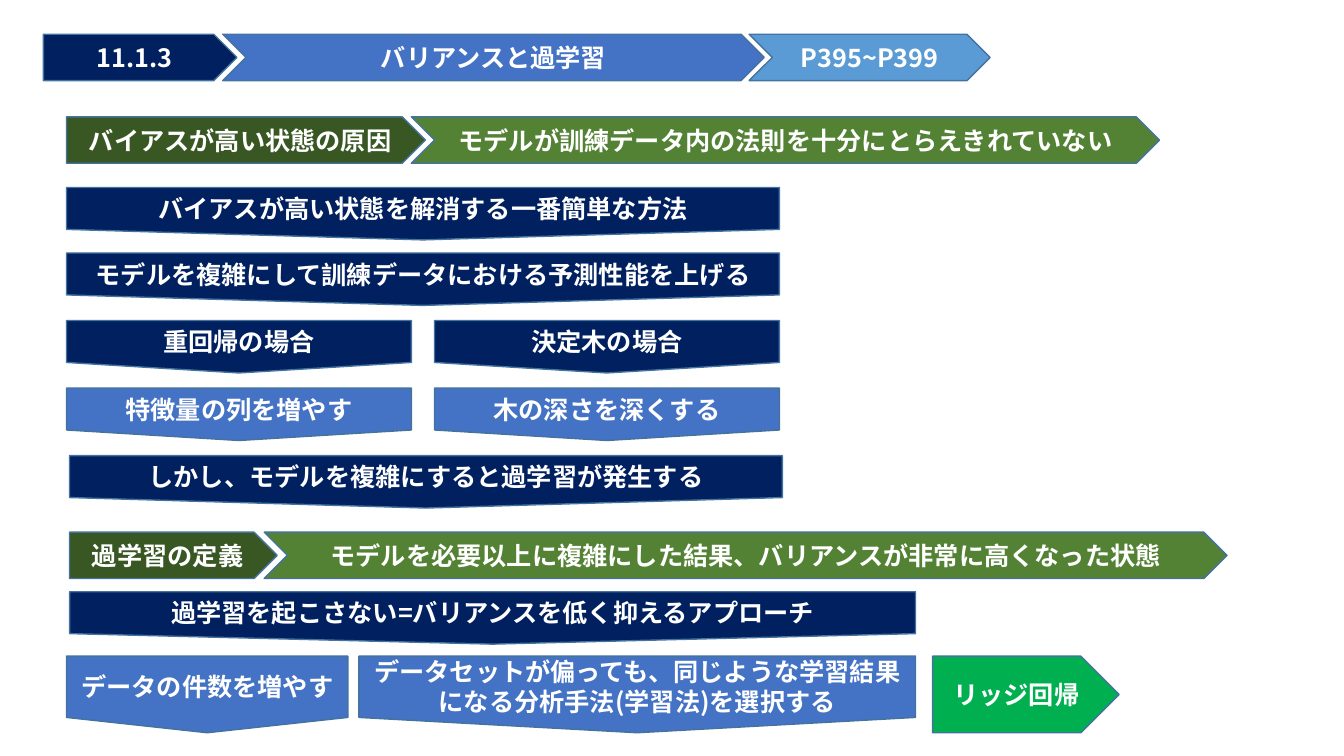
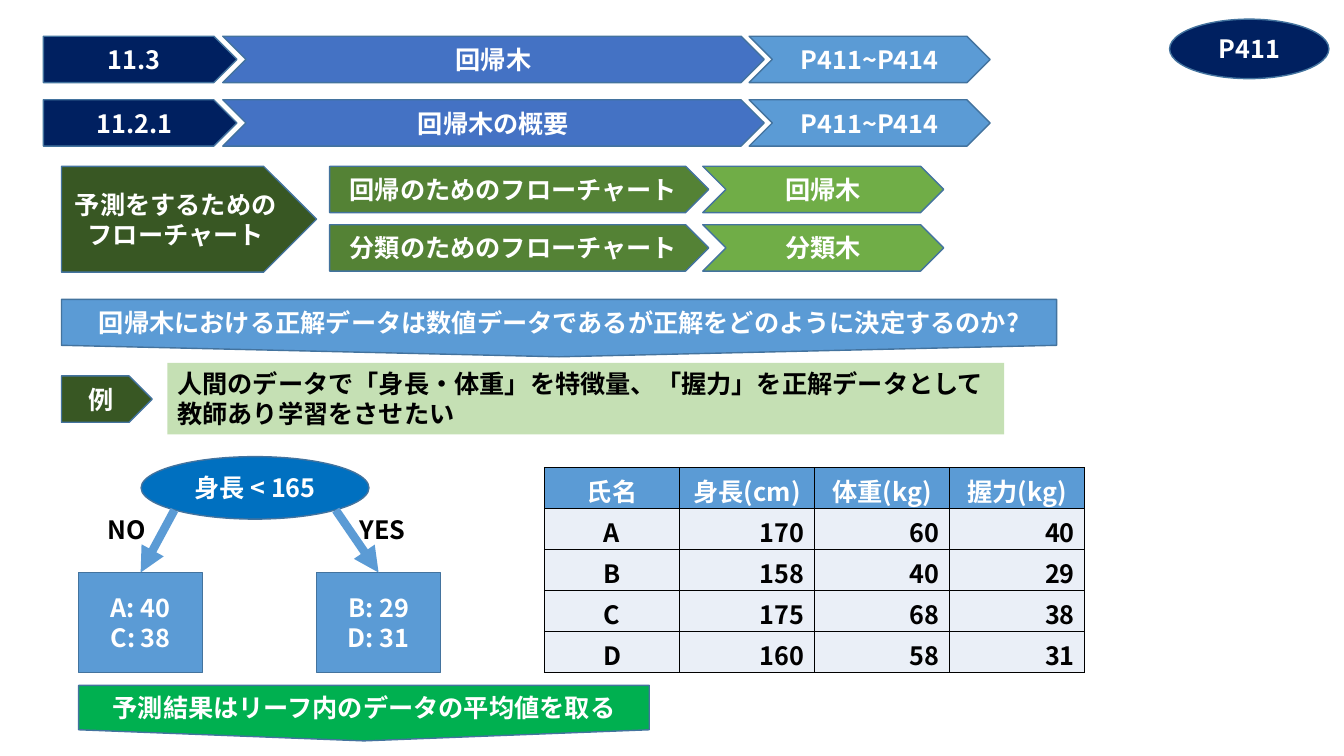
"""Build two slides on overfitting and regression trees."""
from lxml import etree
from pptx import Presentation
from pptx import util as u
from pptx.dml.color import RGBColor
from pptx.enum import shapes, text
from pptx.oxml.ns import qn

COLORS = {
    "navy": "002060", "blue": "4472C4", "sky": "5B9BD5", "ocean": "0070C0",
    "forest": "385723", "olive": "548235", "leaf": "70AD47", "mint": "C5E0B4",
    "green": "00B050", "edge": "43739E", "ice": "EAEFF7",
    "white": "FFFFFF", "black": "000000",
}
FONT = "Noto Sans CJK JP"
KINDS = shapes.MSO_SHAPE
ALIGN = text.PP_ALIGN
ANCHOR = text.MSO_ANCHOR
BAND = 0.46
STEP = 0.52


def color(name):
    return RGBColor.from_string(COLORS[name])


def write(frame, words, ink="white", size=18, align=ALIGN.CENTER, anchor=ANCHOR.MIDDLE):
    """Fill a text frame, one paragraph for each line of words."""
    frame.word_wrap = True
    frame.auto_size = text.MSO_AUTO_SIZE.NONE
    frame.vertical_anchor = anchor
    for index, line in enumerate(words.split("\n")):
        para = frame.paragraphs[0] if index == 0 else frame.add_paragraph()
        para.alignment = align
        span = para.add_run()
        span.text = line
        span.font.size = u.Pt(size)
        span.font.bold = True
        span.font.color.rgb = color(ink)
        span.font.name = FONT
        etree.SubElement(span.font._element, qn("a:ea"), typeface=FONT)


class Painter:
    """Hold the deck style and the slide being drawn."""

    def __init__(self):
        self.deck = Presentation()
        self.deck.slide_width = u.Inches(13.33)
        self.deck.slide_height = u.Inches(7.5)
        self.page = None

    def new_page(self):
        self.page = self.deck.slides.add_slide(self.deck.slide_layouts[5])

    def shape(self, kind, words, fill, left, top, width, height=BAND):
        box = self.page.shapes.add_shape(
            kind, u.Inches(left), u.Inches(top), u.Inches(width), u.Inches(height))
        box.shadow.inherit = False
        box.fill.solid()
        box.fill.fore_color.rgb = color(fill)
        box.line.color.rgb = color("edge")
        box.line.width = u.Pt(1)
        if words:
            write(box.text_frame, words)
        return box

    def tag(self, words, fill, left, top, width, height=BAND):
        return self.shape(KINDS.PENTAGON, words, fill, left, top, width, height)

    def chevron(self, words, fill, left, top, width):
        return self.shape(KINDS.CHEVRON, words, fill, left, top, width)

    def step(self, words, fill, left, top, width, height=STEP):
        return self.shape(KINDS.FLOWCHART_OFFPAGE_CONNECTOR, words, fill,
                          left, top, width, height)

    def label(self, words, left, top, width, height, fill=None):
        box = self.page.shapes.add_textbox(
            u.Inches(left), u.Inches(top), u.Inches(width), u.Inches(height))
        if fill:
            box.fill.solid()
            box.fill.fore_color.rgb = color(fill)
        write(box.text_frame, words, ink="black", align=ALIGN.LEFT, anchor=ANCHOR.TOP)

    def title(self, words, left, top, width, height=BAND):
        box = self.page.shapes.title
        box.left, box.top = u.Inches(left), u.Inches(top)
        box.width, box.height = u.Inches(width), u.Inches(height)
        write(box.text_frame, words)
        self.page.shapes._spTree.append(box._element)

    def header(self, number, words, pages, top, is_title=True):
        self.tag(number, "navy", 0.43, top, 1.92)
        self.chevron("" if is_title else words, "blue", 2.21, top, 5.37)
        if is_title:
            self.title(words, 2.44, top, 4.91)
        self.chevron(pages, "sky", 7.43, top, 2.39)

    def arrow(self, left, top, target):
        line = self.page.shapes.add_connector(
            shapes.MSO_CONNECTOR.STRAIGHT, u.Inches(left), u.Inches(top),
            target.left, target.top)
        line.end_connect(target, 0)
        line.line.color.rgb = color("sky")
        line.line.width = u.Pt(6)
        etree.SubElement(line.line._get_or_add_ln(), qn("a:tailEnd"), type="triangle")
        etree.SubElement(line._element.spPr, qn("a:effectLst"))

    def table(self, rows, left, top, width, height):
        grid = self.page.shapes.add_table(
            len(rows), len(rows[0]), u.Inches(left), u.Inches(top),
            u.Inches(width), u.Inches(height)).table
        for r, row in enumerate(rows):
            for c, words in enumerate(row):
                self.cell(grid.cell(r, c), words, r == 0, c == 0)

    def cell(self, cell, words, is_head, is_name):
        cell.margin_top = u.Inches(0.01)
        cell.margin_bottom = 0
        write(cell.text_frame, words, ink="white" if is_head else "black",
              align=ALIGN.CENTER if is_head or is_name else ALIGN.RIGHT)
        cell.vertical_anchor = ANCHOR.BOTTOM
        props = cell._tc.get_or_add_tcPr()
        for side in ("a:lnL", "a:lnR", "a:lnT", "a:lnB"):
            border = etree.SubElement(props, qn(side), w=str(u.Pt(1)))
            paint = etree.SubElement(border, qn("a:solidFill"))
            etree.SubElement(paint, qn("a:srgbClr"), val=COLORS["black"])
        cell.fill.solid()
        cell.fill.fore_color.rgb = color("sky" if is_head else "ice")


def draw_overfitting(painter):
    painter.new_page()
    painter.header("11.1.3", "バリアンスと過学習", "P395~P399", 0.34)
    painter.tag("バイアスが高い状態の原因", "forest", 0.66, 1.16, 3.56)
    painter.chevron("モデルが訓練データ内の法則を十分にとらえきれていない",
                    "olive", 4.08, 1.16, 7.42)
    painter.step("バイアスが高い状態を解消する一番簡単な方法", "navy", 0.66, 1.86, 7.07)
    painter.step("モデルを複雑にして訓練データにおける予測性能を上げる",
                 "navy", 0.66, 2.51, 7.07)
    cases = [("重回帰の場合", "特徴量の列を増やす"), ("決定木の場合", "木の深さを深くする")]
    for index, (case, remedy) in enumerate(cases):
        left = 0.66 + 3.65 * index
        painter.step(case, "navy", left, 3.18, 3.42)
        painter.step(remedy, "blue", left, 3.85, 3.42)
    painter.step("しかし、モデルを複雑にすると過学習が発生する", "navy", 0.69, 4.52, 7.07)
    painter.tag("過学習の定義", "forest", 0.69, 5.28, 2.06)
    painter.chevron("モデルを必要以上に複雑にした結果、バリアンスが非常に高くなった状態",
                    "olive", 2.62, 5.28, 9.55)
    painter.step("過学習を起こさない=バリアンスを低く抑えるアプローチ",
                 "navy", 0.69, 5.87, 8.39)
    painter.step("データの件数を増やす", "blue", 0.66, 6.51, 2.79, 0.76)
    painter.step("データセットが偏っても、同じような学習結果になる分析手法(学習法)を選択する",
                 "blue", 3.56, 6.51, 5.52, 0.76)
    painter.tag("リッジ回帰", "green", 9.25, 6.51, 1.85, 0.76)


def draw_regression_tree(painter):
    painter.new_page()
    painter.header("11.3", "回帰木", "P411~P414", 0.36)
    painter.header("11.2.1", "回帰木の概要", "P411~P414", 0.99, is_title=False)
    painter.shape(KINDS.OVAL, "P411", "navy", 11.6, 0.19, 1.58, 0.59)
    painter.tag("予測をするためのフローチャート", "forest", 0.61, 1.65, 2.53, 1.05)
    for index, task in enumerate(("回帰", "分類")):
        top = 1.65 + 0.58 * index
        painter.tag(f"{task}のためのフローチャート", "olive", 3.27, top, 3.76)
        painter.chevron(f"{task}木", "leaf", 6.97, top, 2.39)
    painter.step("回帰木における正解データは数値データであるが正解をどのように決定するのか?",
                 "sky", 0.61, 2.97, 9.87, 0.57)
    painter.tag("例", "forest", 0.61, 3.73, 0.9)
    painter.label("人間のデータで「身長・体重」を特徴量、「握力」を正解データとして"
                  "教師あり学習をさせたい", 1.66, 3.6, 8.3, 0.71, fill="mint")
    painter.shape(KINDS.OVAL, "身長 < 165", "ocean", 1.4, 4.53, 2.26, 0.62)
    branches = [
        ("NO", 0.97, "A: 40\nC: 38", 0.78, 1.73),
        ("YES", 3.47, "B: 29\nD: 31", 3.14, 3.33),
    ]
    for answer, answer_left, values, leaf_left, arrow_left in branches:
        leaf = painter.shape(KINDS.RECTANGLE, values, "sky", leaf_left, 5.68, 1.23, 0.99)
        painter.arrow(arrow_left, 5.06, leaf)
        painter.label(answer, answer_left, 5.05, 0.9, 0.4)
    painter.table([
        ("氏名", "身長(cm)", "体重(kg)", "握力(kg)"),
        ("A", "170", "60", "40"),
        ("B", "158", "40", "29"),
        ("C", "175", "68", "38"),
        ("D", "160", "58", "31"),
    ], 5.4, 4.64, 5.36, 2.03)
    painter.step("予測結果はリーフ内のデータの平均値を取る", "green", 0.78, 6.8, 5.66, 0.55)


painter = Painter()
draw_overfitting(painter)
draw_regression_tree(painter)
painter.deck.save("out.pptx")
